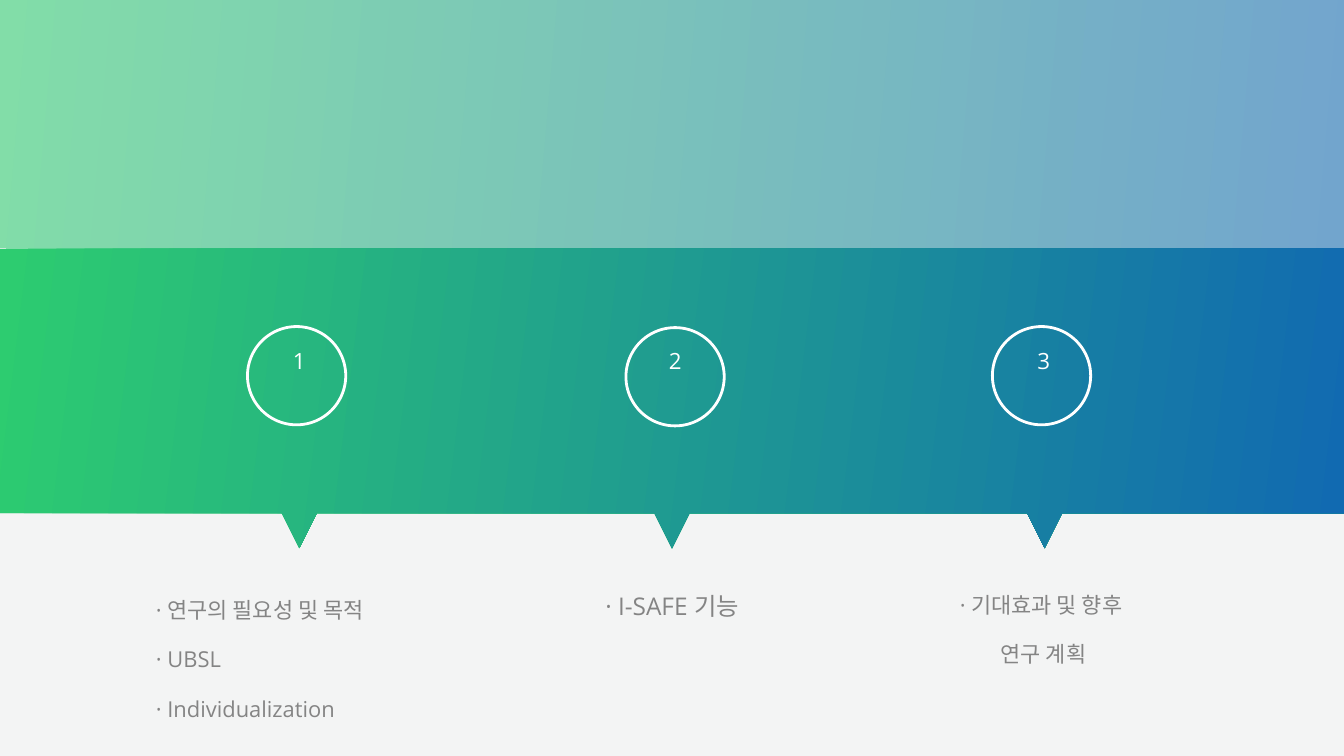
from lxml.etree import SubElement
from pptx import Presentation
from pptx.dml.color import RGBColor
from pptx.enum.shapes import MSO_SHAPE
from pptx.enum.text import MSO_AUTO_SIZE, PP_ALIGN
from pptx.oxml.ns import qn
from pptx.util import Pt

HUES = {"back": "F3F4F4", "green": "2DCC70", "blue": "116AB1",
        "white": "FFFFFF", "gray": "848484"}
FONT = "Open Sans"
WIDE, HIGH = 1920, 1080
TOP, BASE, TIP = 355, 733, 783
MID, STEP, HALF = 960, 532.3, 25
RING = 140.4
STEPS = [
    {"num": "1", "ring": (353.5, 466.5), "label": (307.4, 14.4),
     "box": (218.2, 848.2, 475.9), "size": 54, "align": PP_ALIGN.LEFT,
     "lines": ["· 연구의 필요성 및 목적", "· UBSL", "· Individualization"]},
    {"num": "2", "ring": (894.2, 468), "label": (844.6, 22.3),
     "box": (737.3, 840.2, 445.7), "size": 60, "align": PP_ALIGN.CENTER,
     "lines": ["· I-SAFE 기능"]},
    {"num": "3", "ring": (1417.7, 466.5), "label": (1370.9, 14.4),
     "box": (1267.9, 840.2, 445.7), "size": 54, "align": PP_ALIGN.CENTER,
     "lines": ["· 기대효과 및 향후 ", "연구 계획"]},
]


def tint(name):
    return RGBColor.from_string(HUES[name])


def blend(shape, angle, alpha=None):
    shape.shadow.inherit = False
    shape.line.fill.background()
    shape.fill.gradient()
    shape.fill.gradient_angle = 360 - angle
    for stop, name in zip(shape.fill.gradient_stops, ("green", "blue")):
        stop.color.rgb = tint(name)
    if alpha:
        for node in shape._element.spPr.iter(qn("a:srgbClr")):
            SubElement(node, qn("a:alpha"), val=str(alpha * 1000))


def write(slide, spot, lines, size, hue, align, space=None):
    frame = slide.shapes.add_textbox(*map(Pt, spot)).text_frame
    frame.word_wrap = True
    frame.margin_left = frame.margin_right = Pt(4.5)
    frame.margin_top = frame.margin_bottom = Pt(4.5)
    if space:
        frame.auto_size = MSO_AUTO_SIZE.SHAPE_TO_FIT_TEXT
    frame.text = "\n".join(lines)
    for para in frame.paragraphs:
        para.alignment = align
        para.line_spacing = space
        para.font.name = FONT
        para.font.size = Pt(size)
        para.font.color.rgb = tint(hue)
        for run in para.runs:
            run.font._element.set("baseline", "52000")


def band(slide):
    points = [(0, BASE)]
    for i in (-1, 0, 1):
        x = MID + i * STEP
        points += [(x - HALF, BASE), (x, TIP), (x + HALF, BASE)]
    points += [(WIDE, BASE), (WIDE, TOP)]
    path = slide.shapes.build_freeform(0, Pt(TOP))
    path.add_line_segments([(Pt(x), Pt(y)) for x, y in points], close=True)
    blend(path.convert_to_shape(), 7)


def main():
    """Build the three-step agenda slide."""
    deck = Presentation()
    deck.slide_width, deck.slide_height = Pt(WIDE), Pt(HIGH)
    slide = deck.slides.add_slide(deck.slide_layouts[6])
    slide.background.fill.solid()
    slide.background.fill.fore_color.rgb = tint("back")
    band(slide)
    head = slide.shapes.add_shape(MSO_SHAPE.RECTANGLE, 0, 0, Pt(WIDE), Pt(TOP))
    blend(head, 5, 56)
    for step in STEPS:
        x, y = step["ring"]
        ring = slide.shapes.add_shape(MSO_SHAPE.OVAL, Pt(x), Pt(y), Pt(RING), Pt(RING))
        ring.shadow.inherit = False
        ring.fill.background()
        ring.line.color.rgb = tint("white")
        ring.line.width = Pt(4)
        left, tall = step["label"]
        write(slide, (left, 546.5, 240, tall), [step["num"]], 55, "white",
              PP_ALIGN.CENTER, 0.1)
        write(slide, (*step["box"], 210.2), step["lines"], step["size"], "gray",
              step["align"])
    deck.save("out.pptx")


if __name__ == "__main__":
    main()
